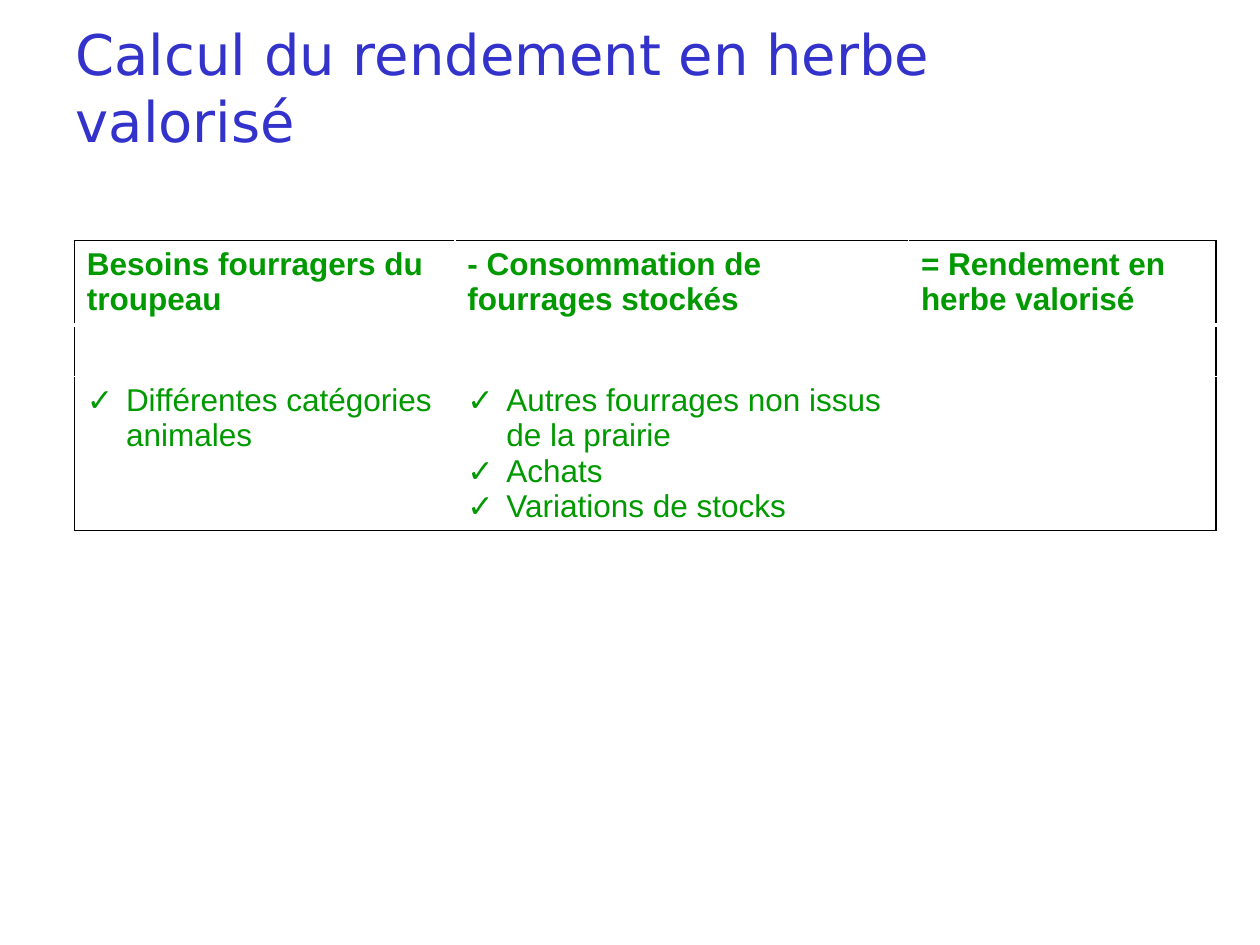
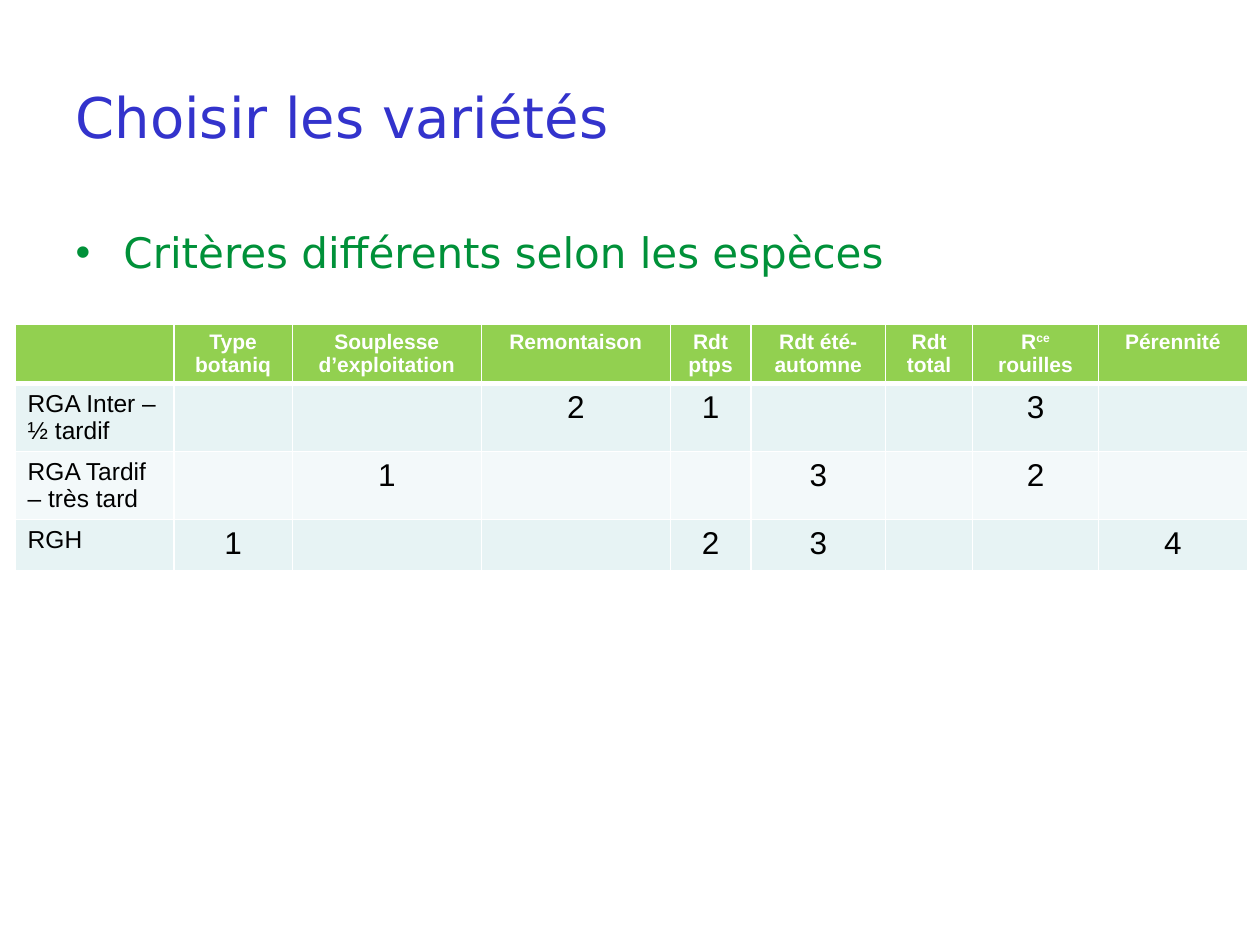
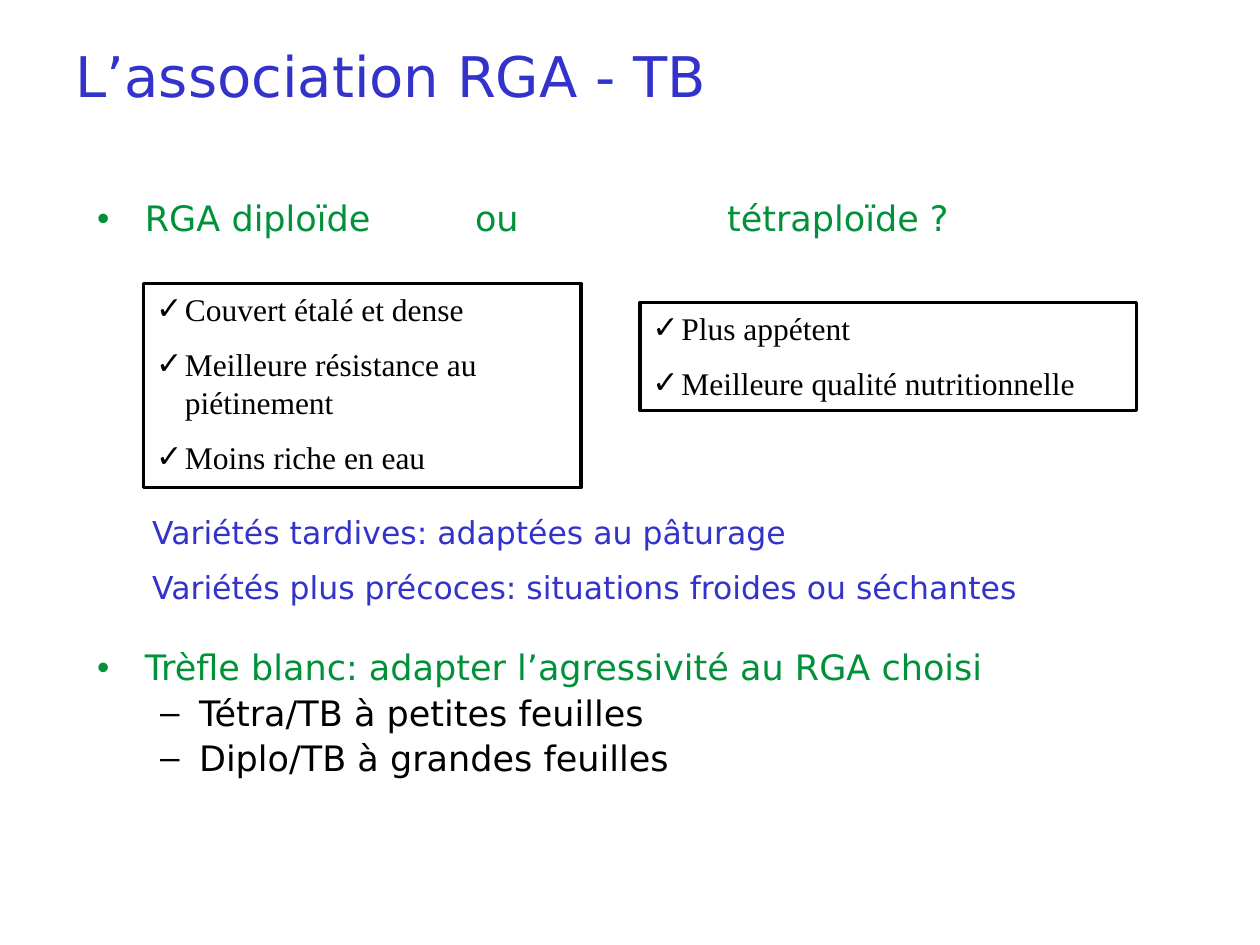
from pptx import Presentation
from pptx.dml.color import RGBColor
from pptx.enum.shapes import MSO_SHAPE
from pptx.enum.text import MSO_ANCHOR, MSO_AUTO_SIZE, PP_ALIGN
from pptx.oxml.xmlchemy import OxmlElement as Element
from pptx.util import Inches, Pt

BLUE, GREEN, TABLE_GREEN = "3333CC", "009139", "009900"
BLACK, WHITE, LIME = "000000", "FFFFFF", "92D050"
BANDS = ["E7F3F4", "F3F9FA"]
SANS, ARIAL, SERIF = "DejaVu Sans", "Arial", "Times New Roman"


def style(para, size, face, color, bold=False, align=PP_ALIGN.LEFT, before=0,
          bullet=None, indent=(0, 0), tabs=()):
    para.alignment = align
    para.space_before = Pt(before)
    props = para._p.get_or_add_pPr()
    props.set("marL", str(Inches(indent[0])))
    props.set("indent", str(Inches(indent[1])))
    if bullet:
        bullet_font = Element("a:buFont")
        bullet_font.set("typeface", ARIAL)
        mark = Element("a:buChar")
        mark.set("char", bullet)
        props.extend([bullet_font, mark])
    if tabs:
        stops = Element("a:tabLst")
        for position in tabs:
            stop = Element("a:tab")
            stop.set("pos", str(Inches(position)))
            stop.set("algn", "l")
            stops.append(stop)
        props.append(stops)
    para.font.size = Pt(size)
    para.font.name = face
    para.font.bold = bold
    para.font.color.rgb = RGBColor.from_string(color)


def dress_cell(cell, edges, fill=None):
    props = cell._tc.get_or_add_tcPr()
    for side, (color, width) in zip("LRTB", edges):
        line = Element(f"a:ln{side}")
        line.set("w", str(Pt(width)))
        paint = Element("a:solidFill")
        value = Element("a:srgbClr")
        value.set("val", color)
        paint.append(value)
        line.append(paint)
        props.append(line)
    if fill:
        cell.fill.solid()
        cell.fill.fore_color.rgb = RGBColor.from_string(fill)
    else:
        cell.fill.background()


deck = Presentation()
deck.slide_width, deck.slide_height = Inches(10), Inches(7.5)

pages = []
for layout, heading, top, width in [
    (5, "Calcul du rendement en herbe \vvalorisé", 0.06, 9),
    (1, "Choisir les variétés", 0.3, 9),
    (1, "L’association RGA - TB", -0.03, 8.5),
]:
    page = deck.slides.add_slide(deck.slide_layouts[layout])
    title = page.shapes.title
    title.left, title.top = Inches(0.5), Inches(top)
    title.width, title.height = Inches(width), Inches(1.25)
    title.text_frame.text = heading
    title.text_frame.auto_size = MSO_AUTO_SIZE.NONE
    title.text_frame.vertical_anchor = MSO_ANCHOR.MIDDLE
    style(title.text_frame.paragraphs[0], 32, SANS, BLUE)
    pages.append(page)
yield_page, variety_page, mix_page = pages

yield_rows = [
    ["Besoins fourragers du troupeau", "- Consommation de fourrages stockés",
     "= Rendement en herbe valorisé"],
    ["", "", ""],
    ["Différentes catégories animales",
     "Autres fourrages non issus de la prairie\nAchats\nVariations de stocks", ""],
]
table = yield_page.shapes.add_table(
    3, 3, Inches(0.59), Inches(1.91), Inches(9.06), Inches(2.29)).table
table.horz_banding = False
for column, width in zip(table.columns, [3.02, 3.6, 2.44]):
    column.width = Inches(width)
for row, height in zip(table.rows, [0.67, 0.41, 1.21]):
    row.height = Inches(height)
for r, texts in enumerate(yield_rows):
    for c, text in enumerate(texts):
        cell = table.cell(r, c)
        cell.text = text
        listed = r == 2 and text
        for para in cell.text_frame.paragraphs:
            style(para, 18, ARIAL, TABLE_GREEN, bold=r == 0,
                  bullet="✓" if listed else None,
                  indent=(0.31, -0.31) if listed else (0, 0))
        outer = [c == 0, c == 2, r == 0, r == 2]
        edges = [(BLACK if edge else WHITE, 1) for edge in outer]
        if r == 0:
            edges[3] = (WHITE, 3)
        dress_cell(cell, edges)

body = variety_page.placeholders[1]
body.left, body.top = Inches(0.5), Inches(1.75)
body.width, body.height = Inches(9), Inches(4.95)
body.text_frame.text = "Critères différents selon les espèces"
style(body.text_frame.paragraphs[0], 24, SANS, GREEN, bullet="•", indent=(0.38, -0.38))

variety_rows = [
    ["", "Type botaniq", "Souplesse d’exploitation", "Remontaison", "Rdt ptps",
     "Rdt été-automne", "Rdt total", "R|ce| rouilles", "Pérennité"],
    ["RGA Inter – ½ tardif", "", "", "2", "1", "", "", "3", ""],
    ["RGA Tardif – très tard", "", "1", "", "", "3", "", "2", ""],
    ["RGH", "1", "", "", "2", "3", "", "", "4"],
]
table = variety_page.shapes.add_table(
    4, 9, Inches(0.12), Inches(2.57), Inches(9.76), Inches(1.96)).table
for column, width in zip(table.columns, [1.26, 0.94, 1.5, 1.5, 0.64, 1.07, 0.69, 1, 1.18]):
    column.width = Inches(width)
for row, height in zip(table.rows, [0.47, 0.54, 0.54, 0.41]):
    row.height = Inches(height)
for r, texts in enumerate(variety_rows):
    for c, text in enumerate(texts):
        cell = table.cell(r, c)
        para = cell.text_frame.paragraphs[0]
        for i, part in enumerate(text.split("|") if text else []):
            span = para.add_run()
            span.text = part
            if i == 1:
                span.font._element.set("baseline", "30000")
        header = r == 0
        size = 12 if header else 14 if c == 0 else 18
        style(para, size, ARIAL, WHITE if header else BLACK, bold=header,
              align=PP_ALIGN.CENTER if header or c else PP_ALIGN.LEFT)
        edges = [(WHITE, 1)] * 3 + [(WHITE, 3 if header else 1)]
        dress_cell(cell, edges, LIME if header else BANDS[(r - 1) % 2])

body = mix_page.placeholders[1]
body.left, body.top = Inches(0.67), Inches(1.55)
body.width, body.height = Inches(8.5), Inches(4.96)
frame = body.text_frame
frame.auto_size = MSO_AUTO_SIZE.NONE
for i, (text, level, before) in enumerate([
    ("RGA diploïde \tou \ttétraploïde ?", 0, 0),
    ("Trèfle blanc: adapter l’agressivité au RGA choisi", 0, 235),
    ("Tétra/TB à petites feuilles", 1, 4.2),
    ("Diplo/TB à grandes feuilles", 1, 4.2),
]):
    para = frame.add_paragraph() if i else frame.paragraphs[0]
    para.text = text
    para.level = level
    para.line_spacing = 0.9
    style(para, 20, SANS, BLACK if level else GREEN, before=before,
          bullet="–" if level else "•",
          indent=(0.81, -0.31) if level else (0.38, -0.38),
          tabs=() if i else (3, 5))

for left, top, width, height, lines, framed in [
    (1.14, 2.25, 3.47, 1.62, ["Couvert étalé et dense",
                              "Meilleure résistance au piétinement",
                              "Moins riche en eau"], True),
    (5.08, 2.4, 3.94, 0.86, ["Plus appétent", "Meilleure qualité nutritionnelle"], True),
    (1.11, 4.02, 7.67, 0.86, ["Variétés tardives: adaptées au pâturage",
                              "Variétés plus précoces: situations froides ou séchantes"], False),
]:
    place = [Inches(value) for value in (left, top, width, height)]
    if framed:
        box = mix_page.shapes.add_shape(MSO_SHAPE.RECTANGLE, *place)
        box.shadow.inherit = False
        box.fill.background()
        box.line.color.rgb = RGBColor.from_string(BLACK)
        box.line.width = Pt(2)
    else:
        box = mix_page.shapes.add_textbox(*place)
    frame = box.text_frame
    frame.word_wrap = True
    frame.vertical_anchor = MSO_ANCHOR.TOP
    frame.text = "\n".join(lines)
    for i, para in enumerate(frame.paragraphs):
        style(para, 18, SERIF if framed else SANS, BLACK if framed else BLUE,
              before=10 if i else 0, bullet="✓" if framed else None,
              indent=(0.23, -0.23) if framed else (0, 0))

deck.save("out.pptx")
